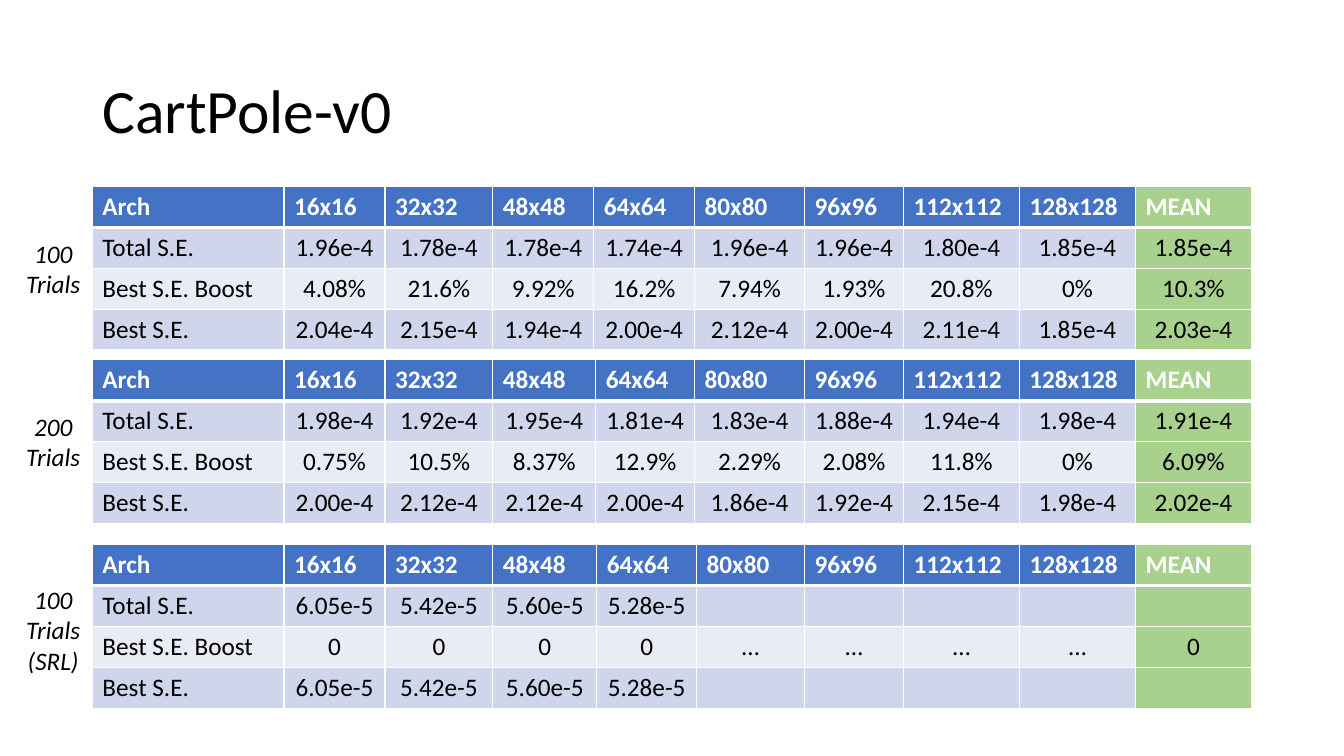
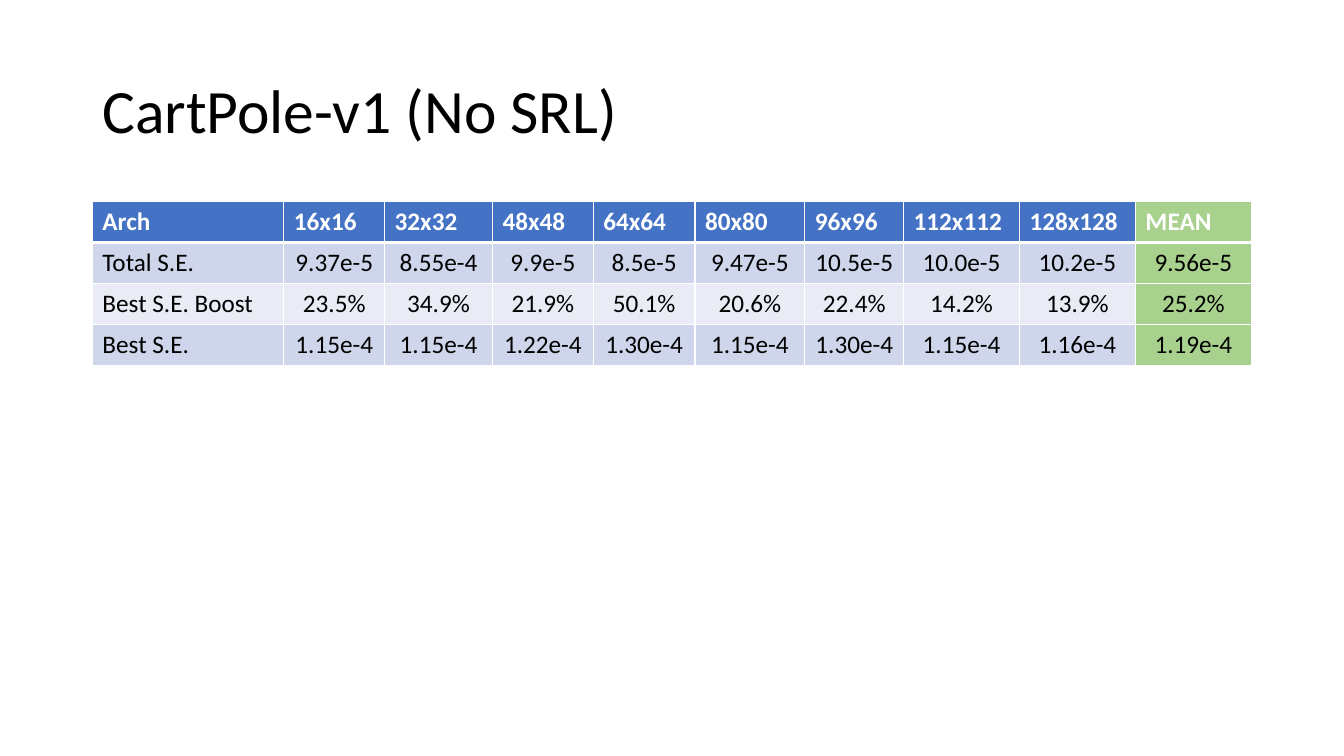
from lxml.etree import SubElement
from pptx import Presentation
from pptx.dml.color import RGBColor
from pptx.enum.text import MSO_ANCHOR, PP_ALIGN
from pptx.oxml.ns import qn
from pptx.util import Emu, Inches, Pt

COLORS = {
    "text": "000000",
    "white": "FFFFFF",
    "header": "4472C4",
    "mean": "A9D18E",
    "odd": "CFD5EA",
    "even": "E9EBF5",
}
HEADER = ["Arch", "16x16", "32x32", "48x48", "64x64", "80x80",
          "96x96", "112x112", "128x128", "MEAN"]
ROW_NAMES = ["Total S.E.", "Best S.E. Boost", "Best S.E."]


class Deck:
    """Style and current slide; lengths are columns (96) and rows (54)."""

    FONT = "Calibri"
    LEFT, WIDTH = 6.6, 82.8
    ROW_HEIGHT = 2.92

    def __init__(self):
        self.prs = Presentation()
        self.prs.slide_width, self.prs.slide_height = Inches(13.333), Inches(7.5)
        self.s = None

    def x(self, cols):
        return Emu(round(self.prs.slide_width * cols / 96))

    def y(self, rows):
        return Emu(round(self.prs.slide_height * rows / 54))

    def new_slide(self, title):
        self.s = self.prs.slides.add_slide(self.prs.slide_layouts[6])
        self.text([title], self.LEFT, 2.88, self.WIDTH, 10.44, size=44, spacing=0.9)

    def run(self, p, text, size=18, color="text", bold=False, italic=False):
        r = p.add_run()
        r.text = text
        r.font.name, r.font.size = self.FONT, Pt(size)
        r.font.bold, r.font.italic = bold, italic
        r.font.color.rgb = RGBColor.from_string(COLORS[color])

    def text(self, lines, left, top, width, height,
             align=PP_ALIGN.LEFT, spacing=1.0, **font):
        sp = self.s.shapes.add_textbox(self.x(left), self.y(top),
                                       self.x(width), self.y(height))
        tf = sp.text_frame
        tf.word_wrap = True
        tf.vertical_anchor = MSO_ANCHOR.MIDDLE
        for i, line in enumerate(lines):
            p = tf.add_paragraph() if i else tf.paragraphs[0]
            p.alignment, p.line_spacing = align, spacing
            self.run(p, line, **font)

    def label(self, lines, table_top, shift=0.0):
        """Italic caption centred beside the table that starts at table_top."""
        self.text(lines, 1, table_top + shift, self.LEFT - 1, 4 * self.ROW_HEIGHT,
                  align=PP_ALIGN.CENTER, italic=True)

    def borders(self, cell, top, bottom):
        tc_pr = cell._tc.get_or_add_tcPr()
        for side, points in (("L", 1), ("R", 1), ("T", top), ("B", bottom)):
            ln = SubElement(tc_pr, qn(f"a:ln{side}"), w=str(Pt(points)))
            fill = SubElement(ln, qn("a:solidFill"))
            SubElement(fill, qn("a:srgbClr"), val=COLORS["white"])

    def table(self, top, values, middle):
        """Draw results; middle gives the relative widths of 48x48 to 80x80."""
        rows = [HEADER] + [[n, *v] for n, v in zip(ROW_NAMES, values)]
        weights = [190, 100, 107, *middle, 98, 115, 115, 115]
        table = self.s.shapes.add_table(
            len(rows), len(HEADER), self.x(self.LEFT), self.y(top),
            self.x(self.WIDTH), self.y(len(rows) * self.ROW_HEIGHT)).table
        table.first_row = table.horz_banding = False
        for col, weight in zip(table.columns, weights):
            col.width = self.x(self.WIDTH * weight / sum(weights))
        for i, row in enumerate(rows):
            table.rows[i].height = self.y(self.ROW_HEIGHT)
            band = "header" if i == 0 else "odd" if i % 2 else "even"
            for j, value in enumerate(row):
                cell = table.cell(i, j)
                self.borders(cell, 3 if i == 1 else 1, 3 if i == 0 else 1)
                cell.fill.solid()
                color = "mean" if j == len(HEADER) - 1 else band
                cell.fill.fore_color.rgb = RGBColor.from_string(COLORS[color])
                p = cell.text_frame.paragraphs[0]
                p.alignment = PP_ALIGN.CENTER if i and j else PP_ALIGN.LEFT
                if value:
                    self.run(p, value, color="text" if i else "white", bold=i == 0)


V0_100 = [
    ["1.96e-4", "1.78e-4", "1.78e-4", "1.74e-4", "1.96e-4", "1.96e-4",
     "1.80e-4", "1.85e-4", "1.85e-4"],
    ["4.08%", "21.6%", "9.92%", "16.2%", "7.94%", "1.93%", "20.8%", "0%", "10.3%"],
    ["2.04e-4", "2.15e-4", "1.94e-4", "2.00e-4", "2.12e-4", "2.00e-4",
     "2.11e-4", "1.85e-4", "2.03e-4"],
]
V0_200 = [
    ["1.98e-4", "1.92e-4", "1.95e-4", "1.81e-4", "1.83e-4", "1.88e-4",
     "1.94e-4", "1.98e-4", "1.91e-4"],
    ["0.75%", "10.5%", "8.37%", "12.9%", "2.29%", "2.08%", "11.8%", "0%", "6.09%"],
    ["2.00e-4", "2.12e-4", "2.12e-4", "2.00e-4", "1.86e-4", "1.92e-4",
     "2.15e-4", "1.98e-4", "2.02e-4"],
]
SRL_SCORES = ["6.05e-5", "5.42e-5", "5.60e-5", "5.28e-5"] + [""] * 5
V0_SRL = [SRL_SCORES, ["0"] * 4 + ["…"] * 4 + ["0"], SRL_SCORES]
V1 = [
    ["9.37e-5", "8.55e-4", "9.9e-5", "8.5e-5", "9.47e-5", "10.5e-5",
     "10.0e-5", "10.2e-5", "9.56e-5"],
    ["23.5%", "34.9%", "21.9%", "50.1%", "20.6%", "22.4%", "14.2%", "13.9%", "25.2%"],
    ["1.15e-4", "1.15e-4", "1.22e-4", "1.30e-4", "1.15e-4", "1.30e-4",
     "1.15e-4", "1.16e-4", "1.19e-4"],
]


def main():
    deck = Deck()
    deck.new_slide("CartPole-v0")
    for top, values, middle, lines, shift in (
        (13.32, V0_100, (100, 100, 109), ["100 Trials"], 0),
        (25.7, V0_200, (102, 98, 109), ["200 Trials"], 0),
        (38.9, V0_SRL, (103, 99, 107), ["100 Trials", "(SRL)"], 0.25),
    ):
        deck.table(top, values, middle)
        deck.label(lines, top, shift)

    deck.new_slide("CartPole-v1 (No SRL)")
    deck.table(14.4, V1, (100, 101, 109))
    deck.prs.save("out.pptx")


if __name__ == "__main__":
    main()
